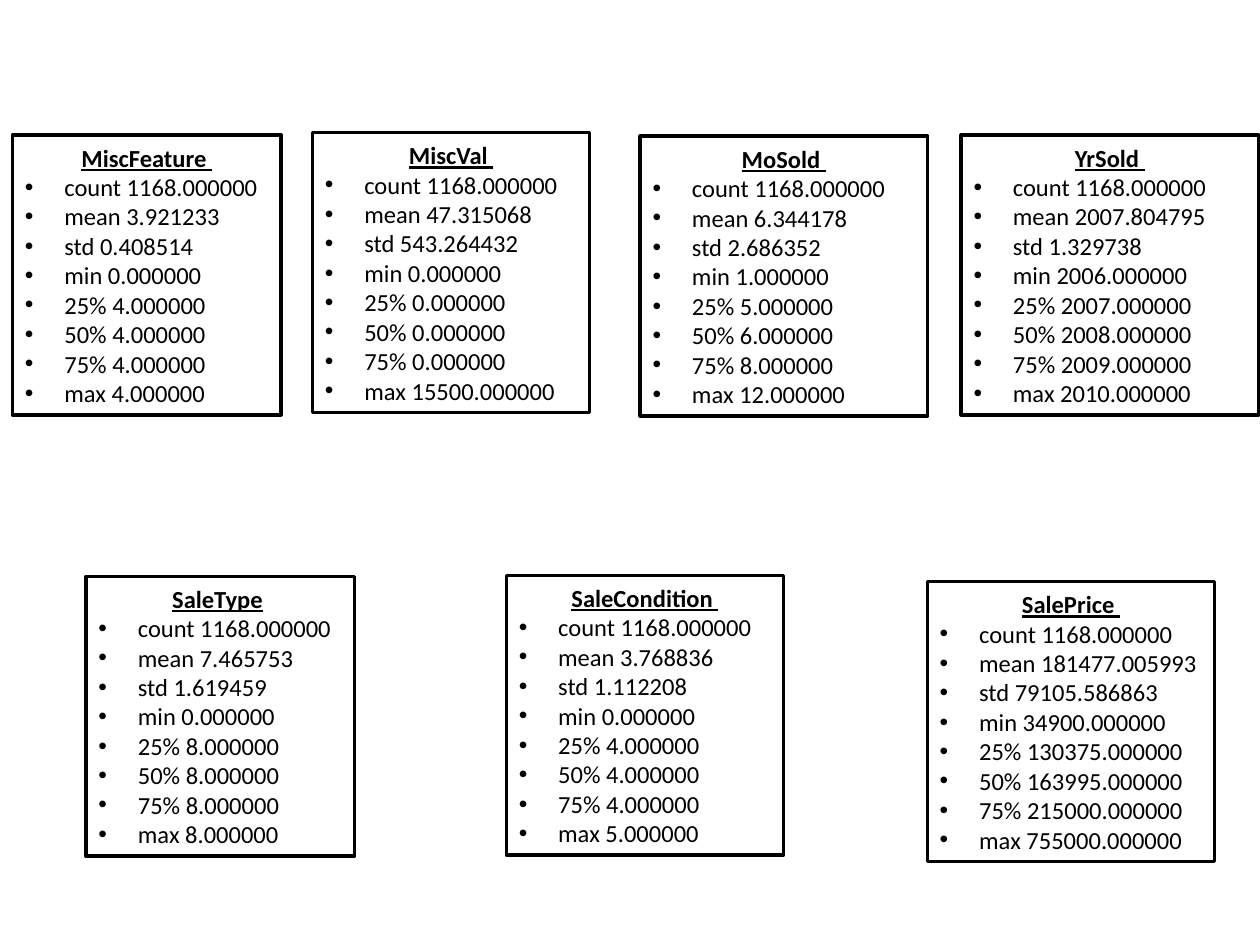
from pptx import Presentation
from pptx.dml.color import RGBColor
from pptx.enum.shapes import MSO_SHAPE
from pptx.enum.text import MSO_ANCHOR, MSO_AUTO_SIZE, PP_ALIGN
from pptx.oxml.ns import qn
from pptx.util import Pt
from lxml.etree import SubElement

BLACK, WHITE = "000000", "FFFFFF"
BOX_H, INDENT = 159.9, 22.5
STATS = ("count", "mean", "std", "min", "25%", "50%", "75%", "max")
FRAME_FORMAT = {
    "word_wrap": True,
    "auto_size": MSO_AUTO_SIZE.SHAPE_TO_FIT_TEXT,
    "vertical_anchor": MSO_ANCHOR.MIDDLE,
}
BODY_FONT = {"name": "Calibri", "size": Pt(14), "bold": False, "underline": False}
HEADING_FONT = {**BODY_FONT, "bold": True, "underline": True}

# Left, top and width of each summary, its heading, and the values of STATS
SUMMARIES = [
    (7.2, 77.2, 153.4, "MiscFeature ",
     (1168, 3.921233, 0.408514, 0, 4, 4, 4, 4)),
    (178.6, 75.8, 158.4, "MiscVal ",
     (1168, 47.315068, 543.264432, 0, 0, 0, 0, 15500)),
    (365.8, 77.8, 164.2, "MoSold ",
     (1168, 6.344178, 2.686352, 1, 5, 6, 8, 12)),
    (549.2, 77.2, 170, "YrSold ",
     (1168, 2007.804795, 1.329738, 2006, 2007, 2008, 2009, 2010)),
    (49.2, 329.3, 153.4, "SaleType",
     (1168, 7.465753, 1.619459, 0, 8, 8, 8, 8)),
    (289.4, 328.8, 158.4, "SaleCondition ",
     (1168, 3.768836, 1.112208, 0, 4, 4, 4, 5)),
    (529.9, 332.4, 164.2, "SalePrice ",
     (1168, 181477.005993, 79105.586863, 34900, 130375, 163995, 215000, 755000)),
]


def color(value):
    return RGBColor.from_string(value)


def set_attributes(target, values):
    for name, value in values.items():
        setattr(target, name, value)


def add_run(p, text, font):
    r = p.add_run()
    r.text = text
    set_attributes(r.font, font)
    r.font.color.rgb = color(BLACK)


def add_bullet(p):
    pPr = p._p.get_or_add_pPr()
    pPr.set("marL", str(Pt(INDENT)))
    pPr.set("indent", str(-Pt(INDENT)))
    SubElement(pPr, qn("a:buFont")).set("typeface", "Arial")
    SubElement(pPr, qn("a:buChar")).set("char", "•")


def add_summary(slide, left, top, width, heading, values):
    sp = slide.shapes.add_shape(
        MSO_SHAPE.RECTANGLE, Pt(left), Pt(top), Pt(width), Pt(BOX_H))
    sp.shadow.inherit = False
    sp.fill.solid()
    sp.fill.fore_color.rgb = color(WHITE)
    sp.line.color.rgb = color(BLACK)
    sp.line.width = Pt(2)

    tf = sp.text_frame
    set_attributes(tf, FRAME_FORMAT)
    p = tf.paragraphs[0]
    p.alignment = PP_ALIGN.CENTER
    add_run(p, heading, HEADING_FONT)
    if not heading.endswith(" "):
        add_run(p, " ", BODY_FONT)
    for stat, value in zip(STATS, values):
        p = tf.add_paragraph()
        p.alignment = PP_ALIGN.LEFT
        add_bullet(p)
        add_run(p, f"{stat} {value:.6f}", BODY_FONT)


def main():
    prs = Presentation()
    prs.slide_width, prs.slide_height = Pt(720), Pt(540)
    slide = prs.slides.add_slide(prs.slide_layouts[6])
    for summary in SUMMARIES:
        add_summary(slide, *summary)
    prs.save("out.pptx")


if __name__ == "__main__":
    main()
